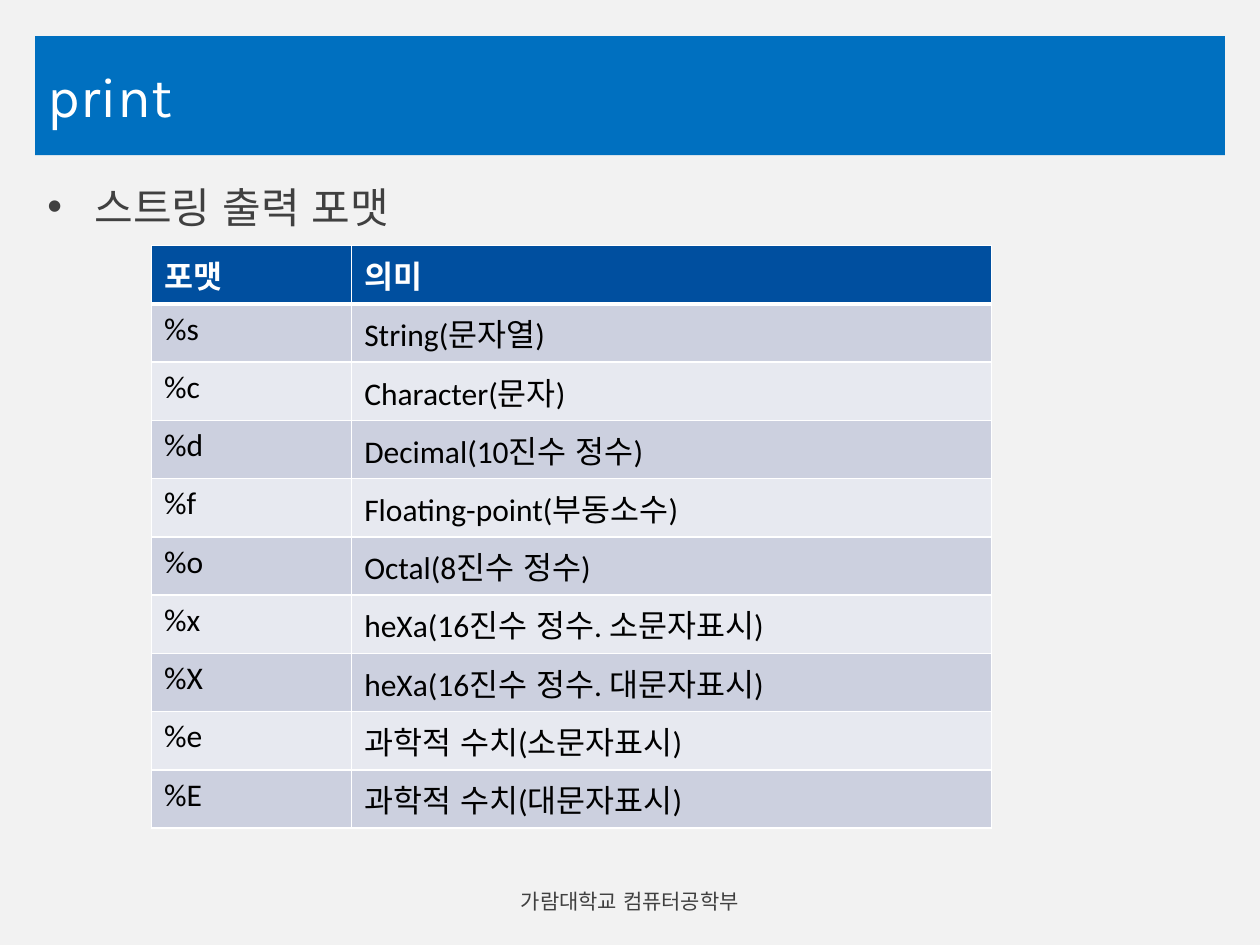
from lxml import etree
from pptx import Presentation
from pptx import util as u
from pptx.dml.color import RGBColor
from pptx.enum import lang, shapes, text
from pptx.oxml.ns import qn

Pt = u.Pt
WHITE = RGBColor(0xFF, 0xFF, 0xFF)
BLACK = RGBColor(0, 0, 0)
PAPER = RGBColor(0xF2, 0xF2, 0xF2)
BLUE = RGBColor(0x00, 0x70, 0xC0)
NAVY = RGBColor(0x00, 0x4F, 0x9F)
GRAY = RGBColor(0x40, 0x40, 0x40)
BANDS = (RGBColor(0xCC, 0xD0, 0xDF), RGBColor(0xE7, 0xE9, 0xF0))

FORMATS = [
    ("포맷", "의미"),
    ("%s", "String(문자열)"),
    ("%c", "Character(문자)"),
    ("%d", "Decimal(10진수 정수)"),
    ("%f", "Floating-point(부동소수)"),
    ("%o", "Octal(8진수 정수)"),
    ("%x", "heXa(16진수 정수. 소문자표시)"),
    ("%X", "heXa(16진수 정수. 대문자표시)"),
    ("%e", "과학적 수치(소문자표시)"),
    ("%E", "과학적 수치(대문자표시)"),
]


class PageBuilder:
    heading_font = "Karla"
    body_font = "Calibri"

    def __init__(self, deck):
        self.page = deck.slides.add_slide(deck.slide_layouts[5])

    def panel(self, color, left, top, width, height):
        box = self.page.shapes.add_shape(
            shapes.MSO_SHAPE.RECTANGLE, *map(Pt, (left, top, width, height)))
        box.shadow.inherit = False
        box.fill.solid()
        box.fill.fore_color.rgb = color
        box.line.fill.background()
        title = self.page.shapes.title
        title._element.addprevious(box._element)

    def span(self, para, words, size, font, color, bold=False):
        span = para.add_run()
        span.text = words
        span.font.size = Pt(size)
        span.font.name = font
        span.font.bold = bold
        span.font.color.rgb = color
        span.font.language_id = lang.MSO_LANGUAGE_ID.KOREAN

    def title(self, words, left, top, width, height):
        box = self.page.shapes.title
        box.left, box.top, box.width, box.height = map(Pt, (left, top, width, height))
        frame = box.text_frame
        frame.vertical_anchor = text.MSO_ANCHOR.MIDDLE
        para = frame.paragraphs[0]
        para.alignment = text.PP_ALIGN.LEFT
        self.span(para, words, 32, self.heading_font, WHITE)

    def text_box(self, left, top, width, height, anchor):
        box = self.page.shapes.add_textbox(*map(Pt, (left, top, width, height)))
        frame = box.text_frame
        frame.word_wrap = True
        frame.vertical_anchor = anchor
        return frame.paragraphs[0]

    def bullet(self, words, left, top, width, height):
        para = self.text_box(left, top, width, height, text.MSO_ANCHOR.TOP)
        props = para._p.get_or_add_pPr()
        props.set("marL", str(Pt(27)))
        props.set("indent", str(-Pt(27)))
        etree.SubElement(props, qn("a:buFont"), typeface="Arial")
        etree.SubElement(props, qn("a:buChar"), char="•")
        self.span(para, words, 24, self.body_font, GRAY)

    def footer(self, words, left, top, width, height):
        para = self.text_box(left, top, width, height, text.MSO_ANCHOR.MIDDLE)
        para.alignment = text.PP_ALIGN.CENTER
        self.span(para, words, 12, self.heading_font, GRAY)

    def borders(self, cell, bottom):
        props = cell._tc.get_or_add_tcPr()
        widths = {"a:lnL": 1, "a:lnR": 1, "a:lnT": 1, "a:lnB": bottom}
        for place, (side, width) in enumerate(widths.items()):
            line = etree.Element(qn(side), w=str(Pt(width)))
            fill = etree.SubElement(line, qn("a:solidFill"))
            etree.SubElement(fill, qn("a:srgbClr"), val=str(WHITE))
            props.insert(place, line)

    def table(self, rows, left, top, widths, row_height):
        size = (sum(widths), row_height * len(rows))
        frame = self.page.shapes.add_table(
            len(rows), len(widths), *map(Pt, (left, top, *size)))
        grid = frame.table
        for column, width in zip(grid.columns, widths):
            column.width = Pt(width)
        for r, row in enumerate(rows):
            grid.rows[r].height = Pt(row_height)
            header = r == 0
            for c, words in enumerate(row):
                cell = grid.cell(r, c)
                cell.fill.solid()
                cell.fill.fore_color.rgb = NAVY if header else BANDS[(r - 1) % 2]
                self.borders(cell, 3 if header else 1)
                self.span(cell.text_frame.paragraphs[0], words, 18, self.body_font,
                          WHITE if header else BLACK, header)


def main():
    deck = Presentation()
    deck.slide_width, deck.slide_height = Pt(720), Pt(540)
    builder = PageBuilder(deck)
    banner = (20, 20.6, 680, 68)
    builder.panel(PAPER, 0, -0.5, 720, 540.5)
    builder.panel(BLUE, *banner)
    builder.title("print", *banner)
    builder.bullet("스트링 출력 포맷", 20, 100, 680, 380)
    builder.footer("가람대학교 컴퓨터공학부", 224, 500.5, 272, 28.8)
    builder.table(FORMATS, 86.6, 140.4, (114.4, 365.6), 33.28)
    deck.save("out.pptx")


if __name__ == "__main__":
    main()
